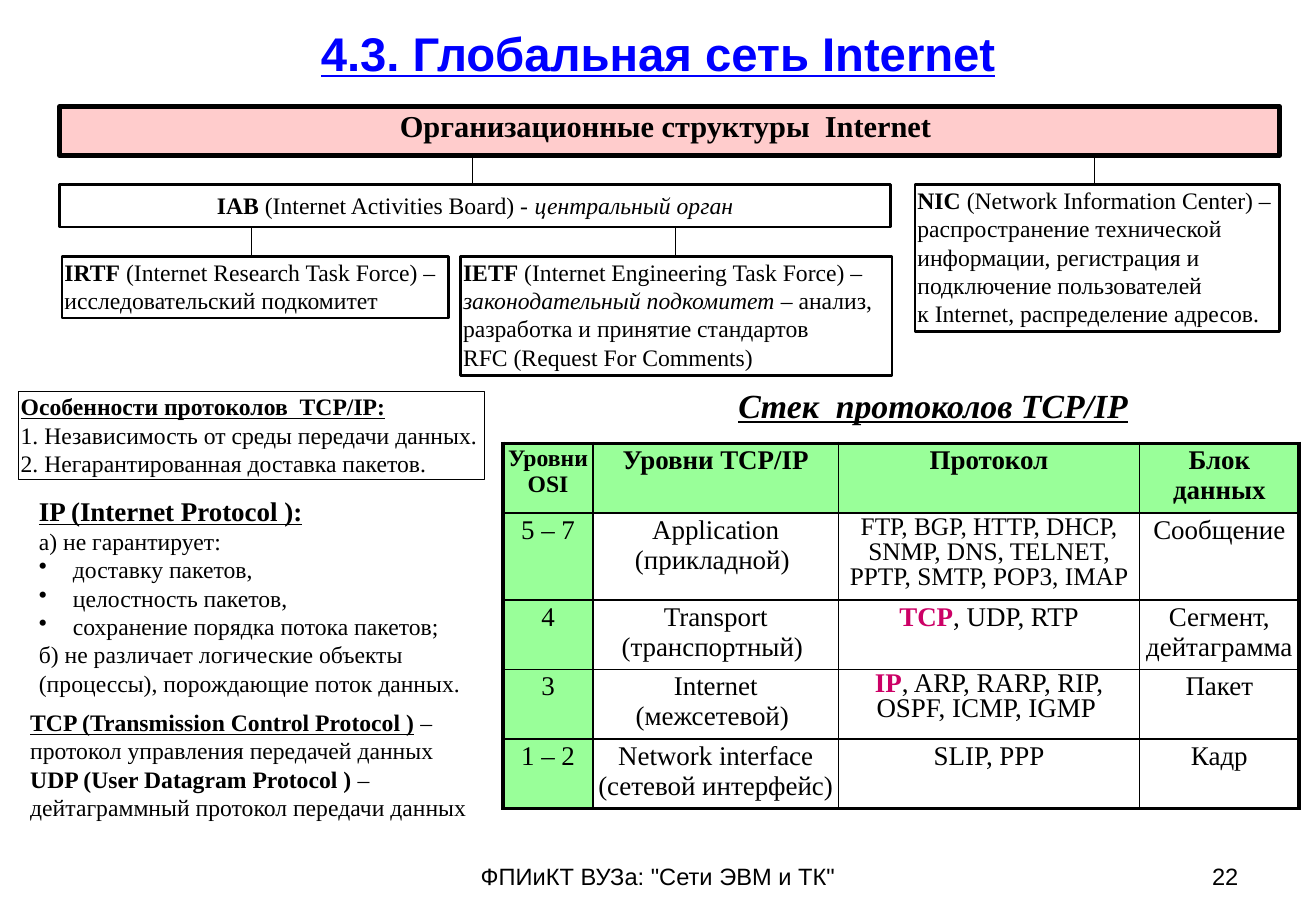
from dataclasses import dataclass

from lxml import etree
from pptx import Presentation
from pptx.dml.color import RGBColor
from pptx.enum import shapes, text
from pptx.oxml import ns
from pptx.util import Inches, Pt


@dataclass(frozen=True)
class Theme:
    """Colours, fonts and type sizes of the slide."""
    ink: str = "000000"
    paper: str = "FFFFFF"
    heading: str = "0000FF"
    banner: str = "FFCCCC"
    level: str = "99FF99"
    key: str = "CC0066"
    sans: str = "Arial"
    serif: str = "Times New Roman"
    title: int = 28
    caption: int = 20
    section: int = 18
    large: int = 16
    dense: int = 15
    body: int = 14


@dataclass(frozen=True)
class Box:
    """A rectangle in inches."""
    left: float
    top: float
    width: float
    height: float

    def within(self, left, top, width, height):
        """Return a box placed relative to this one."""
        return Box(self.left + left, self.top + top, width, height)

    def lengths(self):
        """Return left, top, width and height as lengths."""
        return [Inches(v) for v in (self.left, self.top, self.width, self.height)]


THEME = Theme()
ALIGN = text.PP_ALIGN
BOLD = {"bold": True}
ITALIC = {"italic": True}
MARKED = {"bold": True, "underline": True}
KEY = {"bold": True, "color": THEME.key}
TIGHT = (0.02, 0.01)
LOOSE = (0.1, 0.05)


def rgb(code):
    """Turn a hex code into a colour."""
    return RGBColor.from_string(code)


def write(frame, paragraphs, align=ALIGN.LEFT, spacing=1, insets=LOOSE, anchor=text.MSO_ANCHOR.TOP,
          wrap=True, bullets=(), **style):
    """Fill a text frame; a paragraph is a string or a list of strings and (string, format) runs."""
    frame.word_wrap, frame.vertical_anchor = wrap, anchor
    frame.margin_left = frame.margin_right = Inches(insets[0])
    frame.margin_top = frame.margin_bottom = Inches(insets[1])
    for index, runs in enumerate(paragraphs):
        paragraph = frame.add_paragraph() if index else frame.paragraphs[0]
        paragraph.alignment, paragraph.line_spacing = align, spacing
        paragraph.space_before = Pt(0)
        if index in bullets:
            add_bullet(paragraph)
        for item in [runs] if isinstance(runs, str) else runs:
            words, own = (item, {}) if isinstance(item, str) else item
            look = {"size": THEME.body, "font": THEME.serif, "color": THEME.ink, **style, **own}
            run = paragraph.add_run()
            run.text = words
            run.font.size, run.font.name = Pt(look["size"]), look["font"]
            run.font.color.rgb = rgb(look["color"])
            run.font.bold = look.get("bold", False)
            run.font.italic = look.get("italic", False)
            run.font.underline = look.get("underline", False)


def add_bullet(paragraph):
    """Give a paragraph a hanging bullet."""
    props = paragraph._p.get_or_add_pPr()
    props.set("marL", str(Inches(0.28)))
    props.set("indent", str(-Inches(0.28)))
    etree.SubElement(props, ns.qn("a:buChar")).set("char", "•")


def add_note(slide, box, paragraphs, **style):
    """Place plain text."""
    write(slide.shapes.add_textbox(*box.lengths()).text_frame, paragraphs, **style)


def add_frame(slide, box, paragraphs, fill=None, weight=1.5, **style):
    """Place text in an outlined rectangle."""
    frame = slide.shapes.add_shape(shapes.MSO_SHAPE.RECTANGLE, *box.lengths())
    frame.shadow.inherit = False
    if fill:
        frame.fill.solid()
        frame.fill.fore_color.rgb = rgb(fill)
    else:
        frame.fill.background()
    frame.line.color.rgb, frame.line.width = rgb(THEME.ink), Pt(weight)
    write(frame.text_frame, paragraphs, **style)


def add_link(slide, box):
    """Draw a vertical line down the left edge of a box."""
    left, top, _, height = box.lengths()
    link = slide.shapes.add_connector(shapes.MSO_CONNECTOR.STRAIGHT, left, top, left, top + height)
    link.line.color.rgb, link.line.width = rgb(THEME.ink), Pt(0.75)
    etree.SubElement(link._element.spPr, ns.qn("a:effectLst"))


def heading(slide, box):
    """Place and format the slide title."""
    title = slide.shapes.title
    title.left, title.top, title.width, title.height = box.lengths()
    write(title.text_frame, ["4.3. Глобальная сеть Internet"], align=ALIGN.CENTER, size=THEME.title,
          anchor=text.MSO_ANCHOR.MIDDLE, font=THEME.sans, color=THEME.heading, **MARKED)


def organisations(slide, box):
    """Draw the chart of Internet bodies."""
    gap, iab_top, task_top = 0.24, 0.64, 1.23
    add_frame(slide, box.within(0, 0, box.width, 0.4), ["Организационные структуры  Internet "],
              fill=THEME.banner, weight=3, align=ALIGN.CENTER, spacing=0.85, size=THEME.section, bold=True)
    add_frame(slide, box.within(0, iab_top, 6.84, 0.35),
              [[("IAB ", BOLD), "(Internet Activities Board) - ", ("центральный орган", ITALIC)]],
              align=ALIGN.CENTER)
    add_frame(slide, box.within(3.3, task_top, 3.55, 0.98),
              [[("IETF", BOLD), " (Internet Engineering Task Force) – ",
                ("законодательный подкомитет ", ITALIC), "– анализ, разработка и принятие стандартов "],
               "RFC (Request For Comments)"], insets=TIGHT)
    add_frame(slide, box.within(0.02, task_top, 3.18, 0.51),
              [[("IRTF", BOLD), " (Internet Research Task Force) – "], "исследовательский подкомитет"],
              insets=TIGHT, wrap=False)
    add_frame(slide, box.within(7.04, iab_top, 3, 1.21),
              [[("NIC ", BOLD), "(Network Information Center) – "], "распространение технической",
               "информации, регистрация и ", "подключение пользователей",
               "к Internet, распределение адресов."], insets=TIGHT)
    for left, bottom in ((3.4, iab_top), (8.52, iab_top), (1.58, task_top), (5.07, task_top)):
        add_link(slide, box.within(left, bottom - gap, 0, gap))


def protocol_notes(slide, box):
    """Write the column on TCP/IP, IP, TCP and UDP."""
    add_frame(slide, box.within(0, 0, 3.84, 0.73),
              [[("Особенности протоколов  TCP/IP:", MARKED)],
               "1. Независимость от среды передачи данных.",
               "2. Негарантированная доставка пакетов."], weight=0.5, insets=TIGHT)
    add_note(slide, box.within(0.15, 0.84, 3.59, 1.69),
             [[("IP (Internet Protocol ):", {"size": THEME.large, **MARKED})], "а) не гарантирует:",
              "доставку пакетов,", "целостность пакетов,", "сохранение порядка потока пакетов;",
              "б) не различает логические объекты (процессы), порождающие поток данных."],
             insets=TIGHT, bullets=(2, 3, 4))
    add_note(slide, box.within(0, 2.56, box.width, 1.03),
             [[("TCP (Transmission Control Protocol )", MARKED), " – протокол управления передачей данных"],
              [("UDP (User Datagram Protocol )", BOLD), " – дейтаграммный протокол передачи данных"]])


def add_borders(cell, weights):
    """Draw the left, right, top and bottom borders of a cell."""
    props = cell._tc.get_or_add_tcPr()
    for side, weight in zip("LRTB", weights):
        border = etree.SubElement(props, ns.qn("a:ln" + side), w=str(Pt(weight)))
        fill = etree.SubElement(border, ns.qn("a:solidFill"))
        etree.SubElement(fill, ns.qn("a:srgbClr"), val=THEME.ink)


def protocol_stack(slide, box):
    """Build the captioned table of the protocol stack."""
    add_note(slide, box.within(1.33, 0, 4.42, 0.44), ["Cтек  протоколов TCP/IP"], align=ALIGN.CENTER,
             size=THEME.caption, italic=True, **MARKED)
    rows = [
        ["Уровни OSI", "Уровни TCP/IP", "Протокол", "Блок данных"],
        ["5 – 7", "Application (прикладной) ",
         "FTP, BGP, HTTP, DHCP, SNMP, DNS, TELNET, PPTP, SMTP, POP3, IMAP", "Сообщение"],
        ["4", "Transport (транспортный) ", [("TCP", KEY), ", UDP, RTP"], "Сегмент, дейтаграмма"],
        ["3", "Internet (межсетевой) ", [("IP", KEY), ", ARP, RARP, RIP, OSPF, ICMP, IGMP "], "Пакет"],
        ["1 – 2", "Network interface (сетевой интерфейс) ", "SLIP, PPP", "Кадр"],
    ]
    special = {(0, 0): {"size": THEME.body}, (1, 2): {"size": THEME.dense, "spacing": 0.9},
               (3, 2): {"spacing": 0.85}}
    widths, heights = (0.74, 2.02, 2.48, 1.31), (0.57, 0.71, 0.57, 0.57, 0.57)
    stack = slide.shapes.add_table(len(rows), len(widths),
                                   *box.within(0, 0.53, sum(widths), sum(heights)).lengths()).table
    stack.first_row = stack.horz_banding = False
    for column, width in zip(stack.columns, widths):
        column.width = Inches(width)
    for r, (row, height) in enumerate(zip(rows, heights)):
        stack.rows[r].height = Inches(height)
        for c, words in enumerate(row):
            cell = stack.cell(r, c)
            outer = (c == 0, c == len(widths) - 1, r == 0, r == len(rows) - 1)
            add_borders(cell, [2.25 if edge else 1 for edge in outer])
            cell.fill.solid()
            cell.fill.fore_color.rgb = rgb(THEME.paper if r and c else THEME.level)
            cell.margin_left = cell.margin_right = cell.margin_top = cell.margin_bottom = Inches(0.02)
            style = {"size": THEME.large, "bold": r == 0, **special.get((r, c), {})}
            write(cell.text_frame, [words], align=ALIGN.CENTER, insets=(0.02, 0.02), **style)


def footer(slide, box):
    """Write the course name and the slide number."""
    add_note(slide, box.within(0, 0, 3.43, box.height), ['ФПИиКТ ВУЗа: "Сети ЭВМ и ТК"'],
             align=ALIGN.CENTER, font=THEME.sans)
    add_note(slide, box.within(4.06, 0, 2.53, box.height), ["22"], align=ALIGN.RIGHT, font=THEME.sans)


def main():
    """Build and save the slide."""
    deck = Presentation()
    deck.slide_width, deck.slide_height = Inches(10.83), Inches(7.5)
    slide = deck.slides.add_slide(deck.slide_layouts[5])
    heading(slide, Box(0.54, 0.01, 9.75, 0.84))
    organisations(slide, Box(0.49, 0.88, 10.04, 2.21))
    protocol_notes(slide, Box(0.15, 3.22, 3.89, 3.59))
    protocol_stack(slide, Box(4.14, 3.12, 6.55, 3.52))
    footer(slide, Box(3.7, 7.05, 6.59, 0.3))
    deck.save("out.pptx")


main()
